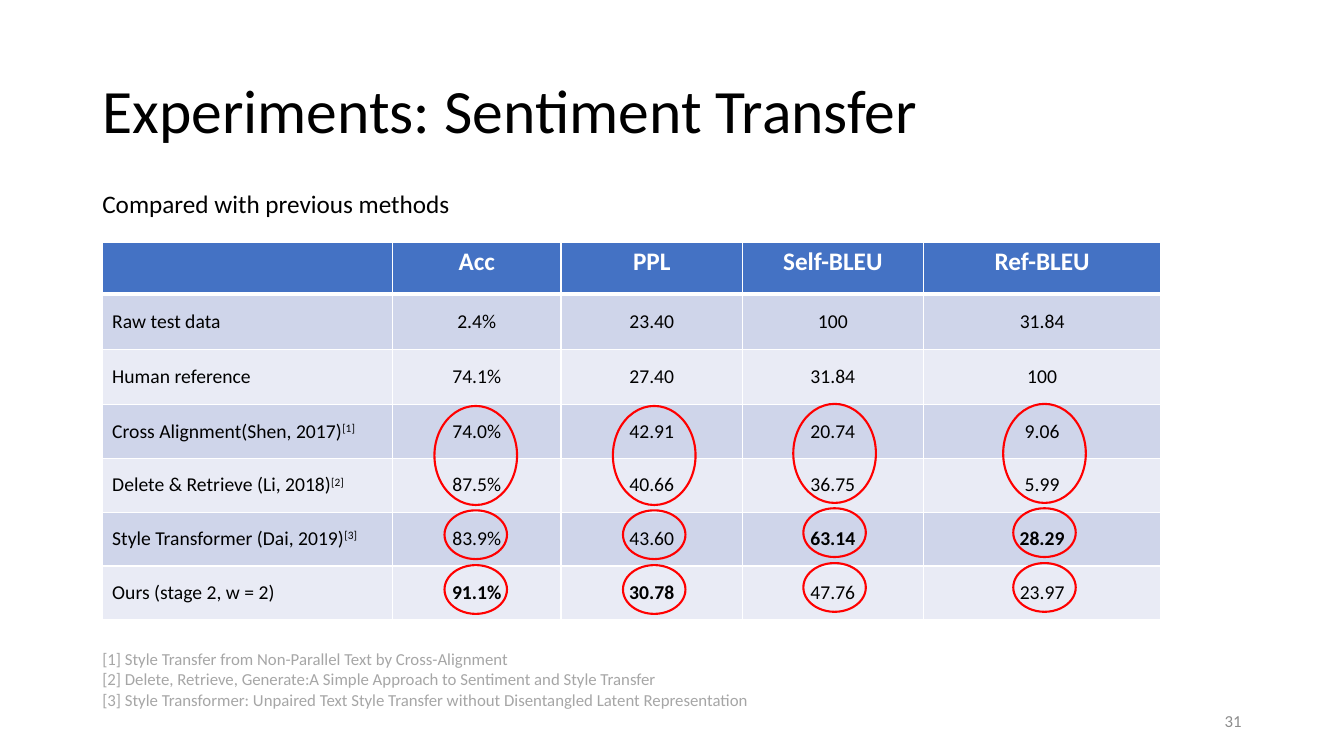
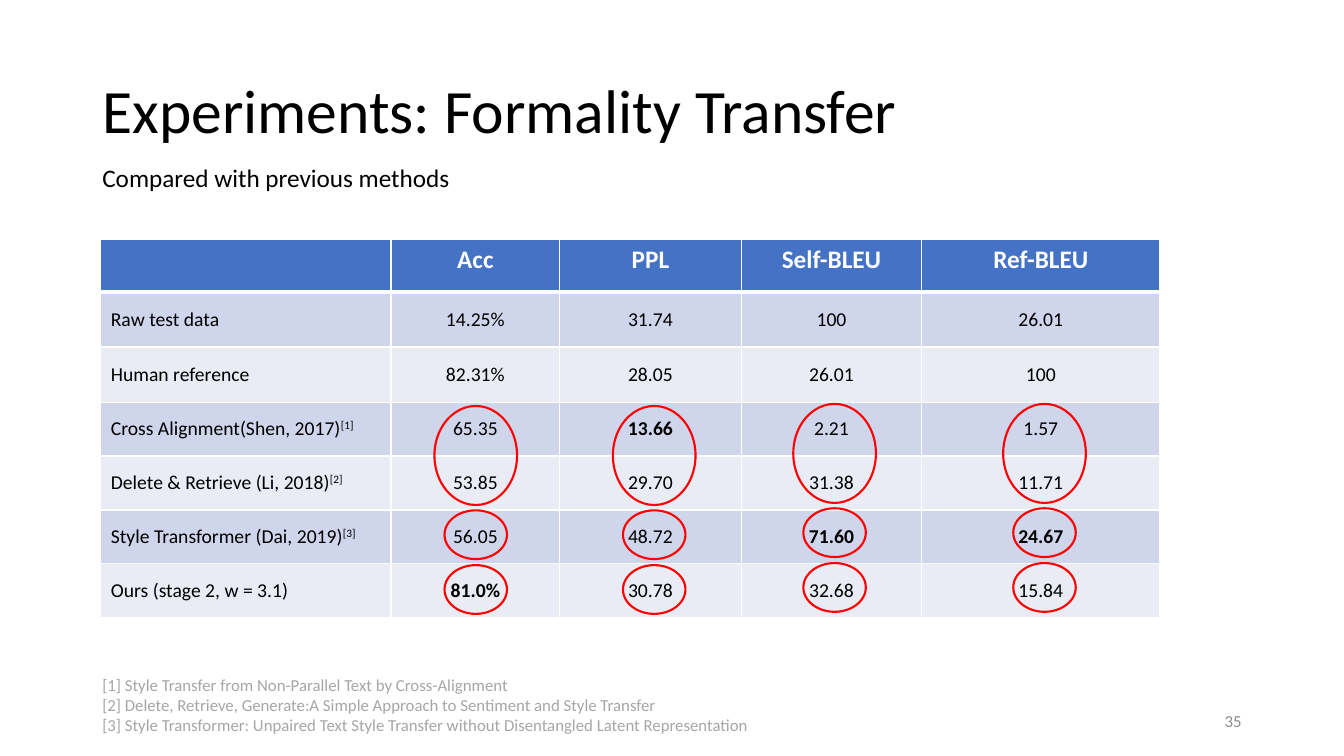
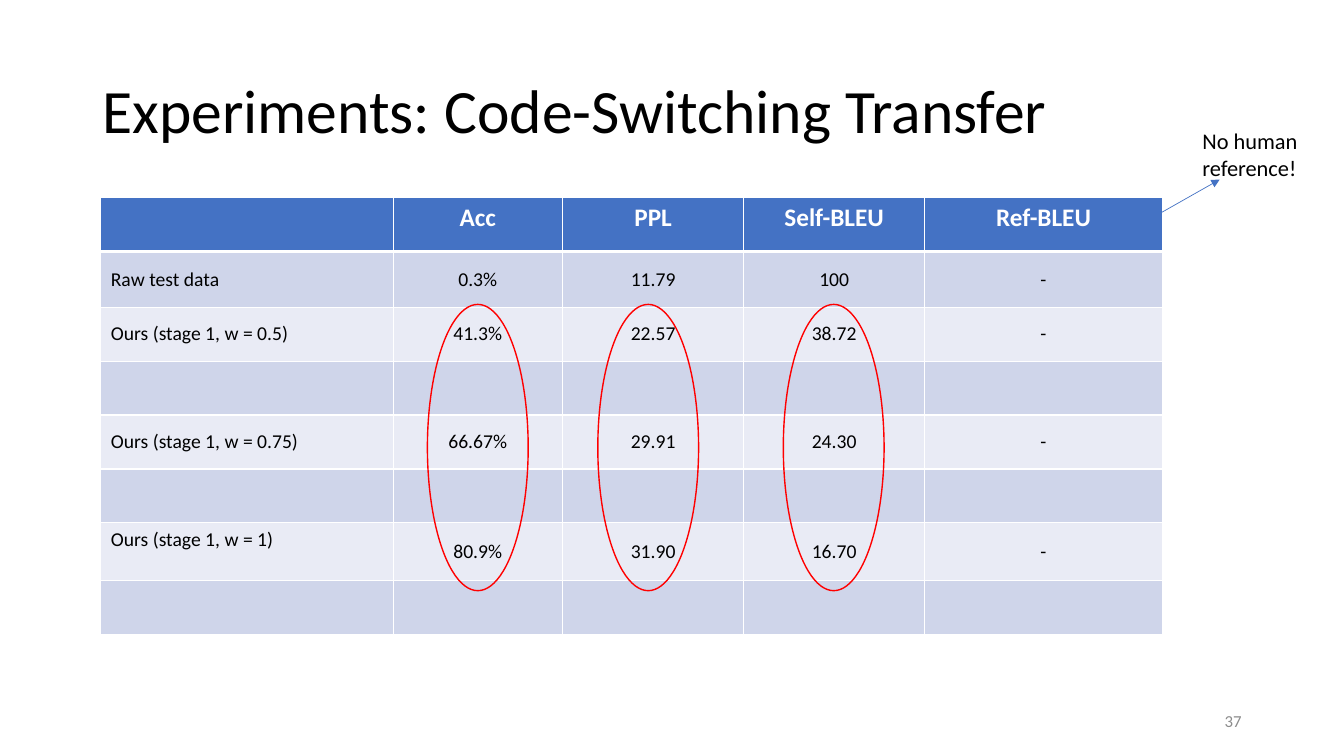
from pptx import Presentation
from pptx.dml.color import RGBColor
from pptx.enum.shapes import MSO_CONNECTOR as CONN, MSO_SHAPE as SHAPE
from pptx.enum.text import MSO_ANCHOR as ANCHOR, PP_ALIGN as ALIGN
from pptx.oxml import parse_xml
from pptx.oxml.ns import nsdecls
from pptx.util import Inches, Pt

# Shared look
BLACK = RGBColor(0x00, 0x00, 0x00)
WHITE = RGBColor(0xFF, 0xFF, 0xFF)
BLUE = RGBColor(0x44, 0x72, 0xC4)
BAND_DARK = RGBColor(0xCF, 0xD5, 0xEA)
BAND_LIGHT = RGBColor(0xE9, 0xEB, 0xF5)
RED = RGBColor(0xFF, 0x00, 0x00)
NUMBER_GRAY = RGBColor(0x8C, 0x8C, 0x8C)
REF_GRAY = RGBColor(0xA6, 0xA6, 0xA6)
FONT = "Calibri"
HEADER = ["", "Acc", "PPL", "Self-BLEU", "Ref-BLEU"]
SUBTITLE = "Compared with previous methods"
REFERENCES = """[1] Style Transfer from Non-Parallel Text by Cross-Alignment
[2] Delete, Retrieve, Generate:A Simple Approach to Sentiment and Style Transfer
[3] Style Transformer: Unpaired Text Style Transfer without Disentangled Latent Representation"""

prs = Presentation()
prs.slide_width, prs.slide_height = Inches(13.33), Inches(7.5)

# The grid has 100 columns and 100 rows
CX, CY = prs.slide_width / 100, prs.slide_height / 100
LEFT = 6.88


def place(x, y, w, h):
    """Turn grid columns and rows into lengths."""
    return int(x * CX), int(y * CY), int(w * CX), int(h * CY)


def write(tf, text, size=18, color=BLACK, bold=False, align=ALIGN.LEFT,
          anchor=ANCHOR.TOP, spacing=1.0):
    """Fill a text frame, one paragraph a line; ^ starts a superscript."""
    tf.word_wrap = True
    tf.vertical_anchor = anchor
    for i, line in enumerate(text.split("\n")):
        p = tf.paragraphs[0] if i == 0 else tf.add_paragraph()
        p.alignment, p.line_spacing = align, spacing
        for j, part in enumerate(line.split("^")):
            r = p.add_run()
            r.text = part
            r.font.name, r.font.size, r.font.bold = FONT, Pt(size), bold
            r.font.color.rgb = color
            if j:
                r._r.get_or_add_rPr().set("baseline", "30000")


# Ellipses: centre, top, width, height
pair_and_single_rings = [
    (x, top + shift, w, h)
    for x, shift in [(35.4, 0), (48.68, 0), (62.1, -0.27), (77.72, -0.27)]
    for top, w, h in [(53.7, 6.15, 13.1), (67.5, 4.65, 6.45), (74.75, 4.65, 6.45)]
]
tall_rings = [(x, 40.27, 7.5, 37.87) for x in (35.55, 48.23, 62.03)]

# Table grids
compare_cols = [21.6, 12.55, 13.5, 13.45, 17.7]
compare_rows = [6.9, 7.3, 7.3] + [7.13] * 4
stage_cols = [21.75, 12.6, 13.5, 13.45, 17.7]
stage_rows = [7.1, 7.4] + [7.13] * 4 + [7.67, 7.13]

# Slide contents; a leading * marks a bold value
slides = [
    dict(title="Sentiment Transfer", number=31, at=(7.6, 32), cols=compare_cols,
         rows=compare_rows, subtitle_y=24.27, refs_y=85.2,
         rings=pair_and_single_rings, ring_line=1.5, data=[
             ["Raw test data", "2.4%", "23.40", "100", "31.84"],
             ["Human reference", "74.1%", "27.40", "31.84", "100"],
             ["Cross Alignment(Shen, 2017)^[1]", "74.0%", "42.91", "20.74", "9.06"],
             ["Delete & Retrieve (Li, 2018)^[2]", "87.5%", "40.66", "36.75", "5.99"],
             ["Style Transformer (Dai, 2019)^[3]", "83.9%", "43.60", "*63.14", "*28.29"],
             ["Ours (stage 2, w = 2)", "*91.1%", "*30.78", "47.76", "23.97"]]),
    dict(title="Formality Transfer", number=35, at=(7.5, 31.7), cols=compare_cols,
         rows=compare_rows, subtitle_y=20.8, refs_y=88.6,
         rings=pair_and_single_rings, ring_line=1.5, data=[
             ["Raw test data", "14.25%", "31.74", "100", "26.01"],
             ["Human reference", "82.31%", "28.05", "26.01", "100"],
             ["Cross Alignment(Shen, 2017)^[1]", "65.35", "*13.66", "2.21", "1.57"],
             ["Delete & Retrieve (Li, 2018)^[2]", "53.85", "29.70", "31.38", "11.71"],
             ["Style Transformer (Dai, 2019)^[3]", "56.05", "48.72", "*71.60", "*24.67"],
             ["Ours (stage 2, w = 3.1)", "*81.0%", "30.78", "32.68", "15.84"]]),
    dict(title="Code-Switching Transfer", number=37, at=(7.5, 26.15), cols=stage_cols,
         rows=stage_rows, rings=tall_rings, ring_line=1, top_cell=(6, 0), data=[
             ["Raw test data", "0.3%", "11.79", "100", "-"],
             ["Ours (stage 1, w = 0.5)", "41.3%", "22.57", "38.72", "-"],
             [""] * 5,
             ["Ours (stage 1, w = 0.75)", "66.67%", "29.91", "24.30", "-"],
             [""] * 5,
             ["Ours (stage 1, w = 1)", "80.9%", "31.90", "16.70", "-"],
             [""] * 5]),
]

for s in slides:
    slide = prs.slides.add_slide(prs.slide_layouts[6])
    shapes = slide.shapes

    # Title, slide number, subtitle and references
    texts = [
        ((LEFT, 5.32, 86.25, 19.33), "Experiments: " + s["title"],
         dict(size=44, anchor=ANCHOR.MIDDLE, spacing=0.9)),
        ((70.62, 92.69, 22.5, 5.32), str(s["number"]),
         dict(size=12, color=NUMBER_GRAY, align=ALIGN.RIGHT, anchor=ANCHOR.MIDDLE)),
    ]
    if "refs_y" in s:
        texts += [
            ((LEFT, s["subtitle_y"], 65.55, 5.32), SUBTITLE, dict(size=18)),
            ((LEFT, s["refs_y"], 77.4, 9.5), REFERENCES, dict(size=12, color=REF_GRAY)),
        ]
    for box, text, fmt in texts:
        write(shapes.add_textbox(*place(*box)).text_frame, text, **fmt)

    # Results table
    cols, rows = s["cols"], s["rows"]
    table = shapes.add_table(len(rows), len(cols),
                             *place(*s["at"], sum(cols), sum(rows))).table
    for col, w in zip(table.columns, cols):
        col.width = int(w * CX)
    for row, h in zip(table.rows, rows):
        row.height = int(h * CY)
    for i, values in enumerate([HEADER] + s["data"]):
        for j, value in enumerate(values):
            cell = table.cell(i, j)
            tcPr = cell._tc.get_or_add_tcPr()
            for side in "LRTB":
                thick = (i, side) in [(0, "B"), (1, "T")]
                tcPr.append(parse_xml(
                    f'<a:ln{side} {nsdecls("a")} w="{Pt(3 if thick else 1)}"><a:solidFill>'
                    f'<a:srgbClr val="{WHITE}"/></a:solidFill></a:ln{side}>'))
            cell.fill.solid()
            cell.fill.fore_color.rgb = BLUE if i == 0 else BAND_DARK if i % 2 else BAND_LIGHT
            at_top = i == 0 or (i, j) == s.get("top_cell")
            cell.vertical_anchor = ANCHOR.TOP if at_top else ANCHOR.MIDDLE
            if value:
                write(cell.text_frame, value.lstrip("*"), size=14 if i else 18,
                      color=BLACK if i else WHITE, bold=i == 0 or value[0] == "*",
                      align=ALIGN.CENTER if j else ALIGN.LEFT,
                      anchor=None)

    # Red rings around the compared values
    for x, y, w, h in s["rings"]:
        sp = shapes.add_shape(SHAPE.OVAL, *place(x - w / 2, y, w, h))
        sp.shadow.inherit = False
        sp.fill.background()
        sp.line.color.rgb, sp.line.width = RED, Pt(s["ring_line"])

# Note with an arrow on the last slide
write(shapes.add_textbox(*place(88.73, 16.15, 10.65, 8.6)).text_frame,
      "No human reference!", size=16)
arrow = shapes.add_connector(CONN.STRAIGHT, *place(84.15, 30.4, 90.75, 23.75))
arrow.line.color.rgb, arrow.line.width = BLUE, Pt(0.5)
arrow.line._get_or_add_ln().append(parse_xml(f'<a:tailEnd {nsdecls("a")} type="triangle"/>'))
arrow._element.spPr.append(parse_xml(f'<a:effectLst {nsdecls("a")}/>'))

prs.save("out.pptx")
